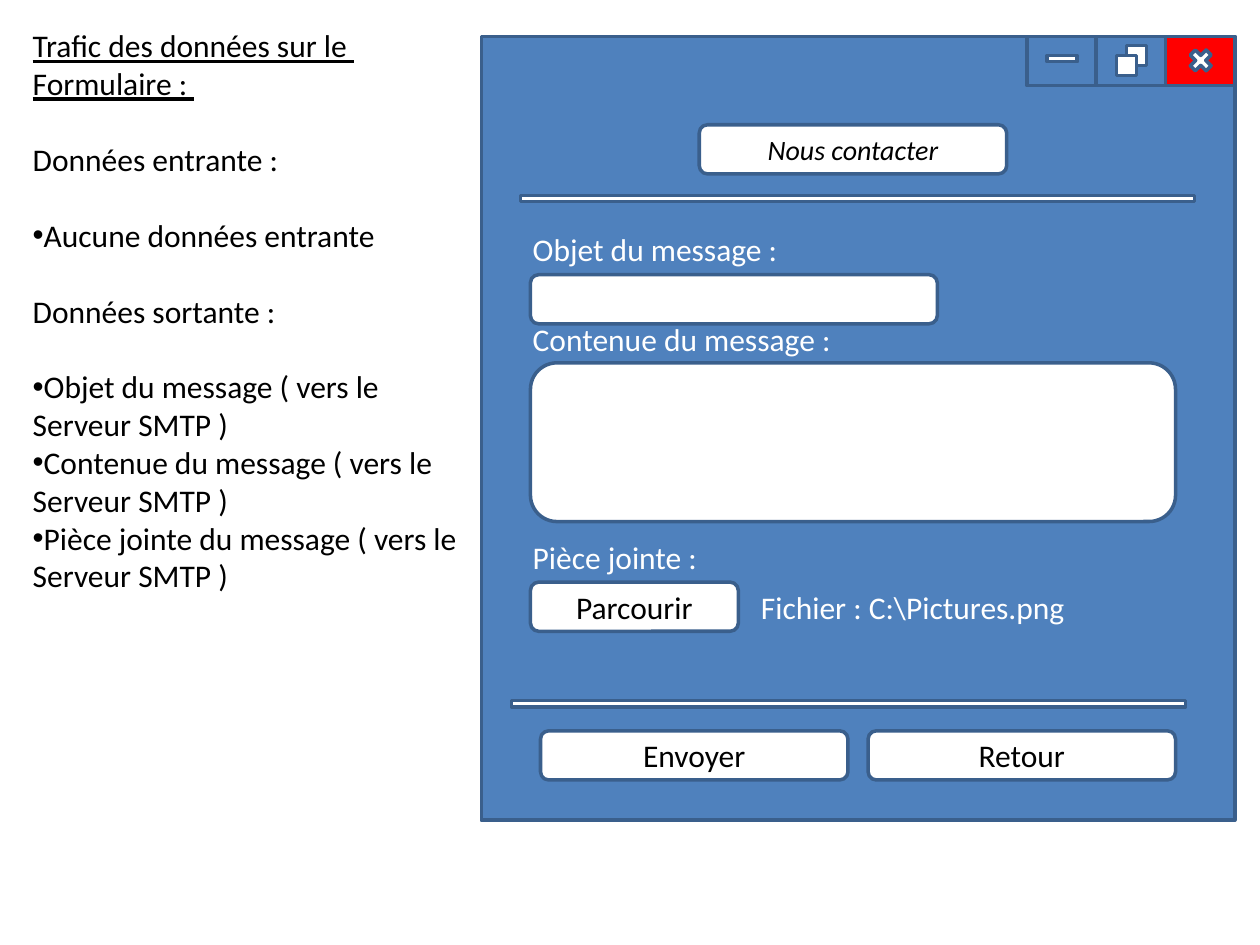
from pptx import Presentation
from pptx.dml.color import RGBColor
from pptx.enum.shapes import MSO_SHAPE
from pptx.enum.text import MSO_ANCHOR, MSO_AUTO_SIZE, PP_ALIGN
from pptx.oxml.ns import qn
from pptx.util import Inches, Pt
from lxml import etree

BLUE, EDGE, RED = "4F81BD", "3A5F8C", "FF0000"
WHITE, BLACK = "FFFFFF", "000000"


def color(hex_string):
    """Turn a hex string into a colour."""
    return RGBColor.from_string(hex_string)


class FormSlide:
    """Style and drawing methods for the form mock-up."""

    font, size = "Calibri", 18

    def __init__(self, slide):
        """Keep the slide that is being drawn."""
        self.slide = slide

    def style(self, paragraph, ink=BLACK, size=size, align=PP_ALIGN.LEFT, **flags):
        """Format a paragraph and its runs."""
        paragraph.alignment = align
        for run in paragraph.runs:
            font = run.font
            font.name, font.size = self.font, Pt(size)
            font.color.rgb = color(ink)
            for name, value in flags.items():
                setattr(font, name, value)

    def shape(self, left, top, width, height, kind=MSO_SHAPE.RECTANGLE, fill=WHITE):
        """Add an outlined preset shape."""
        shape = self.slide.shapes.add_shape(
            kind, Inches(left), Inches(top), Inches(width), Inches(height))
        shape.shadow.inherit = False
        shape.fill.solid()
        shape.fill.fore_color.rgb = color(fill)
        shape.line.color.rgb = color(EDGE)
        shape.line.width = Pt(2)
        return shape

    def box(self, left, top, width, height=0.39, text="", **font):
        """Add a rounded field or button, with an optional centred caption."""
        shape = self.shape(left, top, width, height, MSO_SHAPE.ROUNDED_RECTANGLE)
        if text:
            frame = shape.text_frame
            frame.vertical_anchor = MSO_ANCHOR.MIDDLE
            frame.text = text
            self.style(frame.paragraphs[0], align=PP_ALIGN.CENTER, **font)

    def label(self, left, top, width, text):
        """Add a white form label."""
        frame = self.slide.shapes.add_textbox(
            Inches(left), Inches(top), Inches(width), Inches(0.4)).text_frame
        frame.word_wrap = True
        frame.text = text
        self.style(frame.paragraphs[0], WHITE)

    def place(self, holder, top, height):
        """Move a placeholder to the left column and return its text frame."""
        holder.left, holder.top = Inches(0.16), Inches(top)
        holder.width, holder.height = Inches(3.67), Inches(height)
        frame = holder.text_frame
        frame.word_wrap = True
        frame.auto_size = MSO_AUTO_SIZE.NONE
        frame.vertical_anchor = MSO_ANCHOR.TOP
        return frame

    def title(self, text, top, height):
        """Fill the title placeholder."""
        frame = self.place(self.slide.shapes.title, top, height)
        frame.text = text
        self.style(frame.paragraphs[0], underline=True)

    def body(self, items, top, height):
        """Fill the body with (text, bulleted, gap before in points) items."""
        frame = self.place(self.slide.placeholders[1], top, height)
        for index, (text, bulleted, gap) in enumerate(items):
            paragraph = frame.add_paragraph() if index else frame.paragraphs[0]
            paragraph.text = text
            paragraph.space_before = Pt(gap)
            self.style(paragraph)
            props = paragraph._p.get_or_add_pPr()
            props.set("marL", "0")
            props.set("indent", "0")
            if bulleted:
                etree.SubElement(props, qn("a:buFont")).set("typeface", "Arial")
                etree.SubElement(props, qn("a:buChar")).set("char", "•")
            else:
                etree.SubElement(props, qn("a:buNone"))


prs = Presentation()
prs.slide_width, prs.slide_height = Inches(10), Inches(7.5)
form = FormSlide(prs.slides.add_slide(prs.slide_layouts[1]))

# Data traffic
form.title("Trafic des données sur le \vFormulaire : ", 0.16, 0.75)
GAP = 21.75
outgoing = ["Objet", "Contenue", "Pièce jointe"]
form.body(
    [("Données entrante : ", False, 0),
     ("Aucune données entrante", True, GAP),
     ("Données sortante : ", False, GAP)]
    + [(f"{name} du message ( vers le \vServeur SMTP )", True, 0 if i else GAP)
       for i, name in enumerate(outgoing)],
    1.06, 4.35)

# Window and its controls
form.shape(3.82, 0.29, 5.98, 6.22, fill=BLUE)
for i, fill in enumerate([BLUE, BLUE, RED]):
    form.shape(8.15 + 0.55 * i, 0.29, 0.55, 0.39, fill=fill)
form.shape(8.31, 0.44, 0.24, 0.05)
for left, top in [(8.94, 0.36), (8.86, 0.44)]:
    form.shape(left, top, 0.16, 0.16)
form.shape(9.41, 0.36, 0.24, 0.24, MSO_SHAPE.MATH_MULTIPLY)

# Separators
for left, top in [(4.13, 1.55), (4.06, 5.56)]:
    form.shape(left, top, 5.35, 0.05)

# Fields and buttons
form.box(5.55, 0.99, 2.44, text="Nous contacter", size=16, italic=True)
form.box(4.21, 2.18, 3.23)
form.box(4.21, 2.88, 5.12, 1.26)
form.box(4.21, 4.62, 1.65, text="Parcourir")
for left, text in [(4.29, "Envoyer"), (6.89, "Retour")]:
    form.box(left, 5.8, 2.44, text=text)

# Labels
for left, top, width, text in [
    (4.13, 1.78, 2.2, "Objet du message :"),
    (4.13, 2.49, 2.7, "Contenue du message :"),
    (4.13, 4.22, 1.6, "Pièce jointe : "),
    (5.94, 4.62, 2.75, "Fichier : C:\\Pictures.png"),
]:
    form.label(left, top, width, text)

prs.save("out.pptx")
